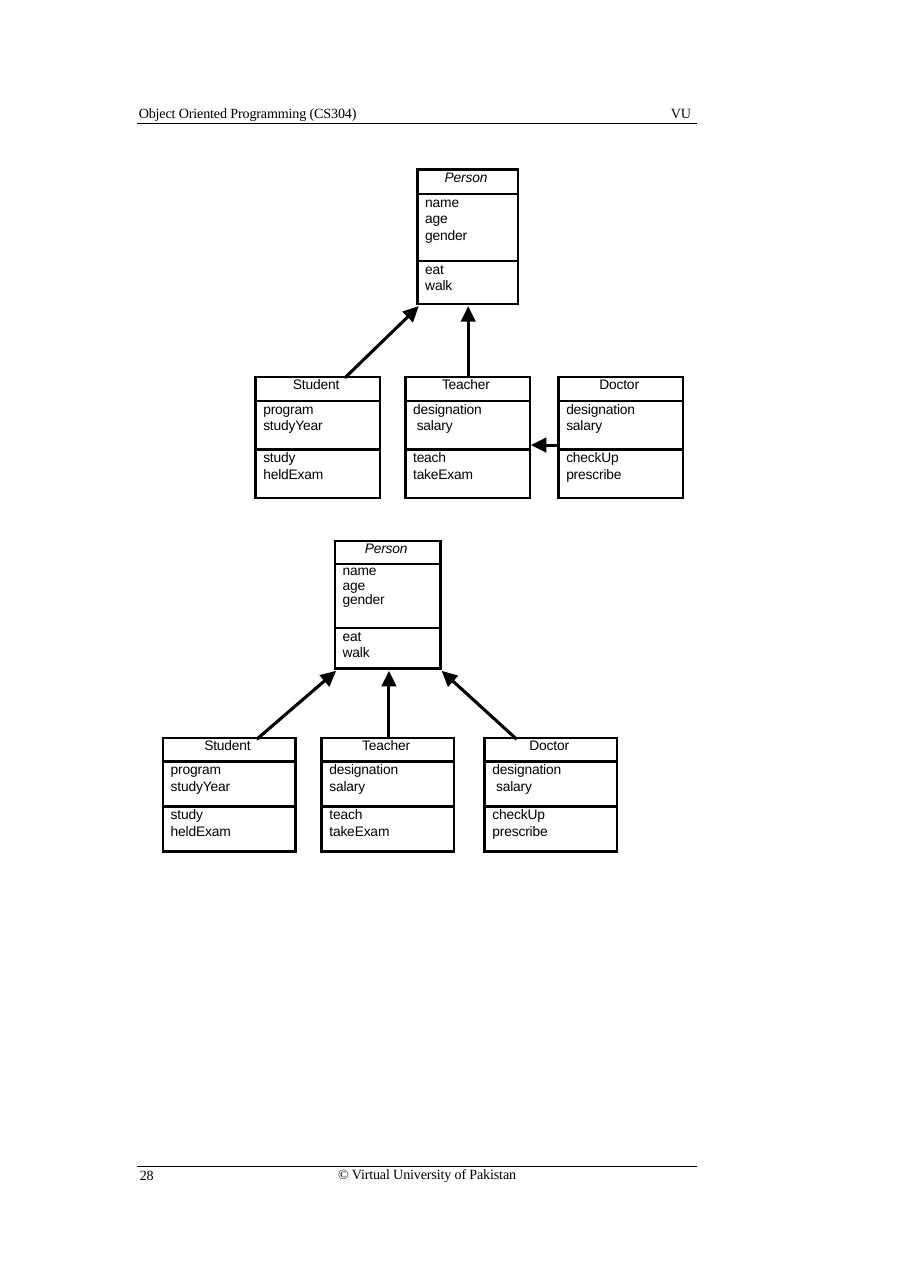
from lxml import etree
from pptx import Presentation
from pptx import util as u
from pptx.dml.color import RGBColor
from pptx.enum import shapes, text
from pptx.oxml import ns

BLACK = "000000"
SUBCLASS_TOP = {"upper": 3.42, "lower": 6.7}
SUBCLASS_ROWS = {"upper": (0.22, 0.44, 0.44), "lower": (0.21, 0.41, 0.41)}
SUBCLASS_WIDTH = {"upper": 1.13, "lower": 1.2}
OPERATIONS = {
    "Student": ["study", "heldExam"],
    "Teacher": ["teach", "takeExam"],
    "Doctor": ["checkUp", "prescribe"],
}
SUBCLASSES = [
    ("upper", 2.32, "Student", ["program", "studyYear"]),
    ("upper", 3.68, "Teacher", ["designation", " salary"]),
    ("upper", 5.07, "Doctor", ["designation", "salary"]),
    ("lower", 1.48, "Student", ["program", "studyYear"]),
    ("lower", 2.92, "Teacher", ["designation", "salary"]),
    ("lower", 4.4, "Doctor", ["designation", " salary"]),
]
PERSONS = [
    (3.79, 1.54, 0.91, (0.22, 0.61, 0.39), u.Pt(10.7)),
    (3.04, 4.91, 0.96, (0.21, 0.58, 0.37), 0.94),
]
INHERITANCE = [
    (3.13, 3.43, 3.8, 2.78),
    (4.25, 3.43, 4.25, 2.78),
    (5.08, 4.04, 4.82, 4.04),
    (2.33, 6.71, 3.05, 6.09),
    (3.53, 6.71, 3.53, 6.09),
    (4.69, 6.71, 4.01, 6.09),
]


def color(hex_value):
    """Turn a hex string into a colour."""
    return RGBColor.from_string(hex_value)


def add_run(paragraph, words, font_name, size, italic=False):
    """Add one slightly condensed black run."""
    run = paragraph.add_run()
    run.text = words
    run.font.name = font_name
    run.font.size = u.Pt(size)
    run.font.italic = italic
    run.font.color.rgb = color(BLACK)
    run._r.get_or_add_rPr().set("spc", "-10")


def set_running_text(box, left, top, width, words):
    """Place and fill a header or footer text."""
    box.left, box.top = u.Inches(left), u.Inches(top)
    box.width, box.height = u.Inches(width), u.Inches(0.16)
    frame = box.text_frame
    frame.word_wrap = True
    frame.auto_size = text.MSO_AUTO_SIZE.NONE
    frame.vertical_anchor = text.MSO_ANCHOR.TOP
    frame.margin_left = u.Inches(0.01)
    frame.margin_right = frame.margin_top = frame.margin_bottom = 0
    paragraph = frame.paragraphs[0]
    paragraph.alignment = text.PP_ALIGN.LEFT
    paragraph.line_spacing = 1.0
    add_run(paragraph, words, "Times New Roman", 9.2)


def add_line(slide, start_x, start_y, end_x, end_y, weight, arrow=False):
    """Draw a straight black line, with an arrowhead at its end if asked."""
    line = slide.shapes.add_connector(
        shapes.MSO_CONNECTOR.STRAIGHT,
        u.Inches(start_x), u.Inches(start_y), u.Inches(end_x), u.Inches(end_y))
    line.line.color.rgb = color(BLACK)
    line.line.width = u.Pt(weight)
    if arrow:
        etree.SubElement(line.line._get_or_add_ln(), ns.qn("a:tailEnd"),
                         type="triangle", w="lg", len="lg")
    etree.SubElement(line._element.spPr, ns.qn("a:effectLst"))


def add_borders(cell):
    """Give a cell four black borders."""
    properties = cell._tc.get_or_add_tcPr()
    for position, side in enumerate(("lnL", "lnR", "lnT", "lnB")):
        border = etree.Element(ns.qn("a:" + side), w=str(u.Pt(1.88)))
        fill = etree.SubElement(border, ns.qn("a:solidFill"))
        etree.SubElement(fill, ns.qn("a:srgbClr"), val=BLACK)
        properties.insert(position, border)


def fill_compartment(cell, lines, leading=None, heading=False, italic=False):
    """Write a class name or a list of members into a cell."""
    cell.margin_top = cell.margin_bottom = 0
    cell.margin_left = u.Inches(0 if heading else 0.07)
    cell.margin_right = u.Inches(0.03 if heading else 0)
    cell.fill.background()
    add_borders(cell)
    for index, words in enumerate(lines):
        frame = cell.text_frame
        paragraph = frame.add_paragraph() if index else frame.paragraphs[0]
        paragraph.alignment = text.PP_ALIGN.CENTER if heading else text.PP_ALIGN.LEFT
        if leading:
            paragraph.line_spacing = leading
        add_run(paragraph, words, "Arial", 9, italic)


def add_class(slide, left, top, width, heights, name, attributes, operations,
              leading=u.Pt(10.7), abstract=False):
    """Draw a class as a table of name, attributes and operations."""
    table = slide.shapes.add_table(
        3, 1, u.Inches(left), u.Inches(top),
        u.Inches(width), u.Inches(sum(heights))).table
    table.first_row = table.horz_banding = False
    for row, height in zip(table.rows, heights):
        row.height = u.Inches(height)
    fill_compartment(table.cell(0, 0), [name], heading=True, italic=abstract)
    fill_compartment(table.cell(1, 0), attributes, leading)
    fill_compartment(table.cell(2, 0), operations, u.Pt(10.7))


def main():
    """Build the page with both class diagrams."""
    deck = Presentation()
    deck.slide_width, deck.slide_height = u.Inches(8.26), u.Inches(11.69)
    slide = deck.slides.add_slide(deck.slide_layouts[5])
    set_running_text(slide.shapes.title, 1.25, 0.95, 2.3,
                     "Object Oriented Programming (CS304)")
    for left, top, width, words in [
            (6.08, 0.95, 0.25, "VU"),
            (3.06, 10.58, 1.9, "© Virtual University of Pakistan"),
            (1.26, 10.59, 0.25, "28")]:
        box = slide.shapes.add_textbox(0, 0, 0, 0)
        set_running_text(box, left, top, width, words)
    for rule_y in (1.12, 10.59):
        add_line(slide, 1.24, rule_y, 6.33, rule_y, 0.66)
    for left, top, width, heights, leading in PERSONS:
        add_class(slide, left, top, width, heights, "Person",
                  ["name", "age", "gender"], ["eat", "walk"], leading, abstract=True)
    for diagram, left, name, attributes in SUBCLASSES:
        add_class(slide, left, SUBCLASS_TOP[diagram], SUBCLASS_WIDTH[diagram],
                  SUBCLASS_ROWS[diagram], name, attributes, OPERATIONS[name])
    for ends in INHERITANCE:
        add_line(slide, *ends, 2, arrow=True)
    deck.save("out.pptx")


if __name__ == "__main__":
    main()
